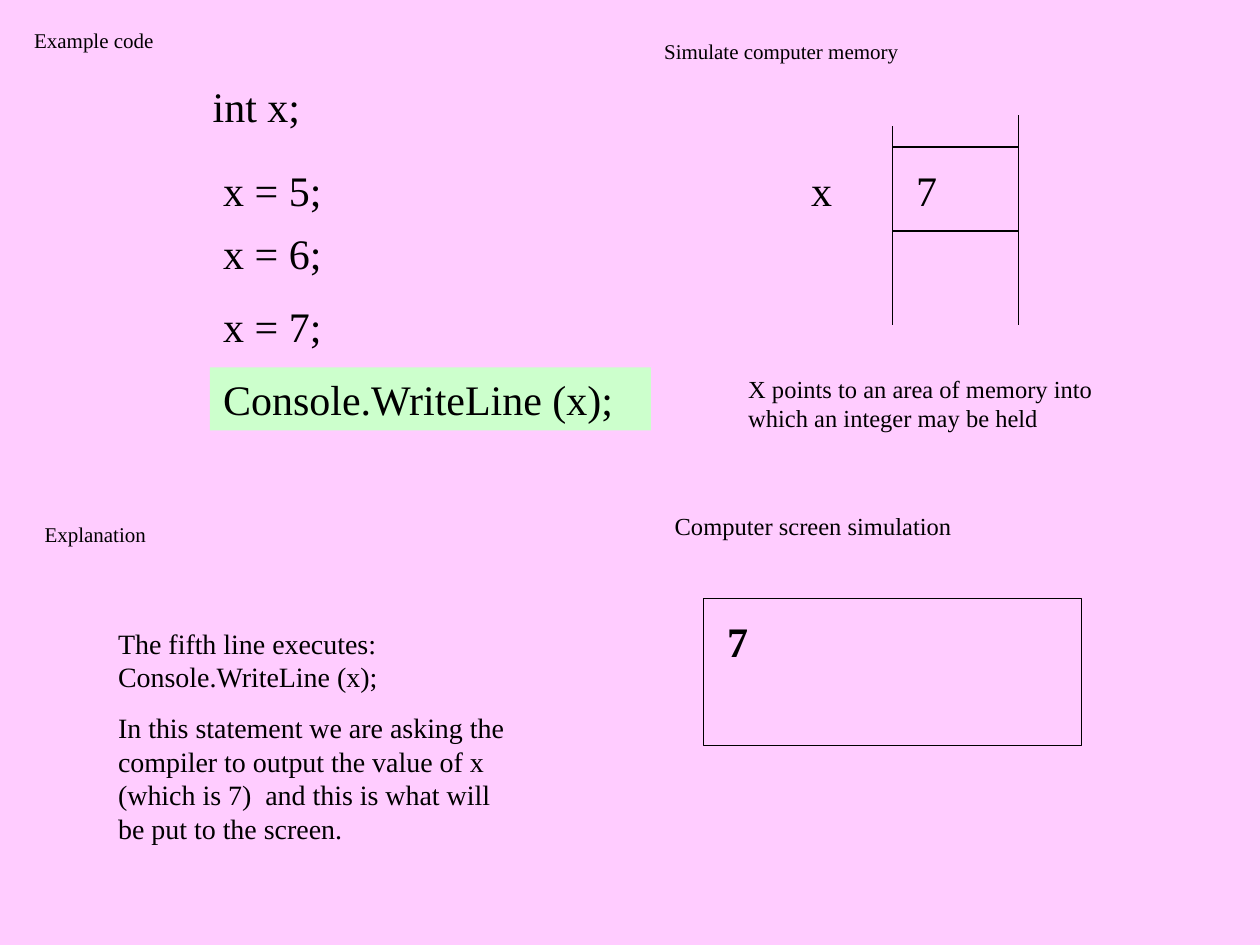
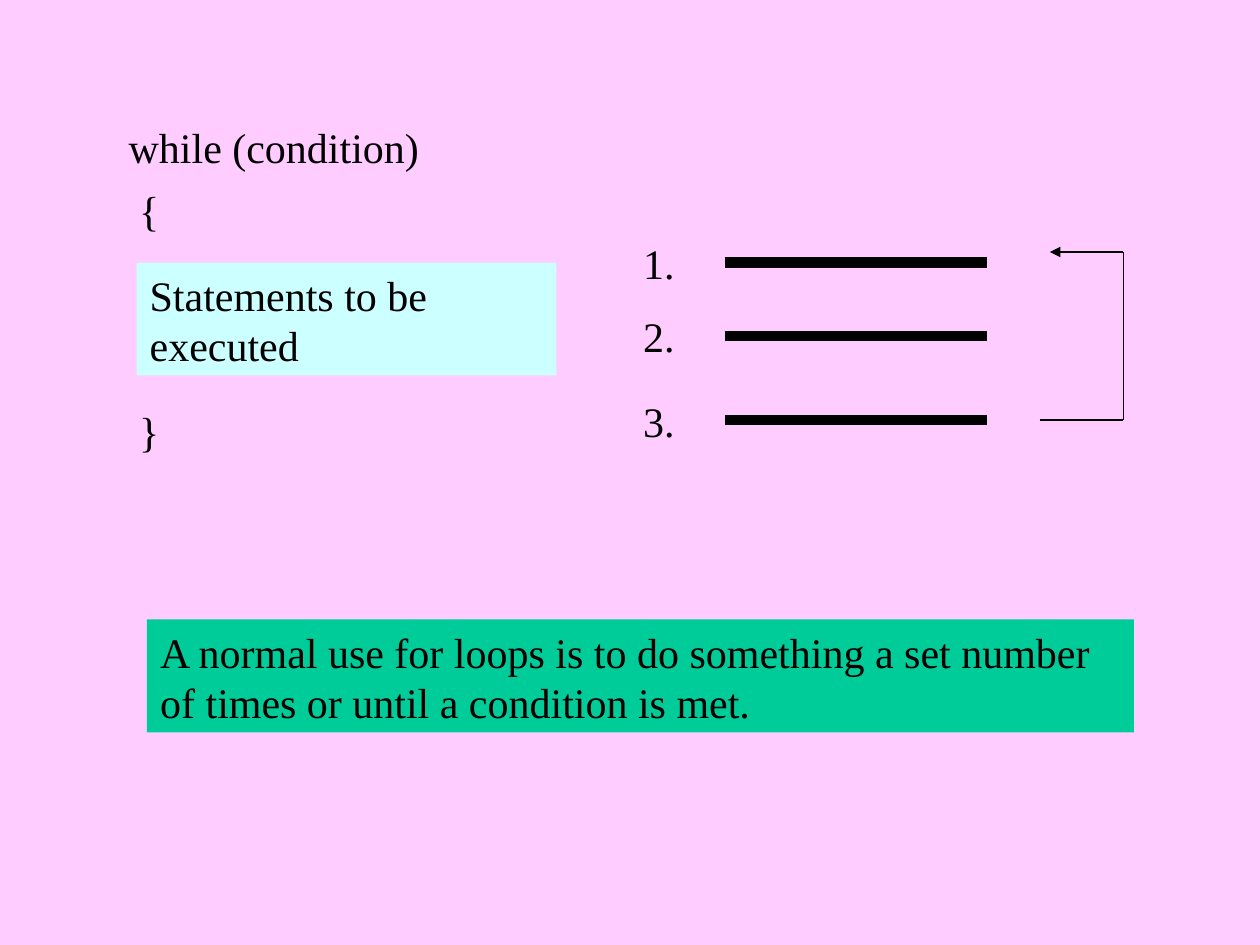
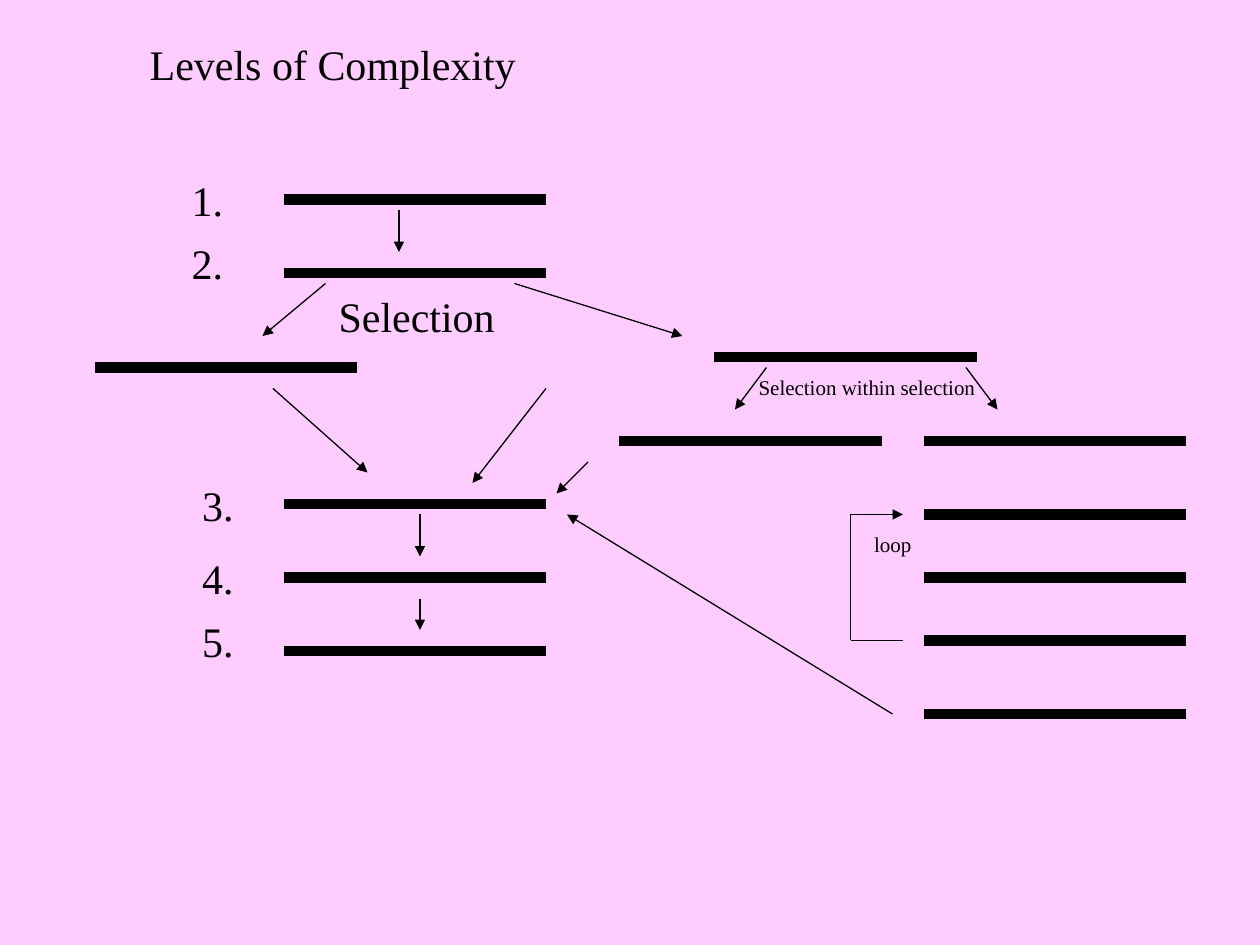
from itertools import pairwise

from lxml.etree import SubElement
from pptx import Presentation
from pptx.dml.color import RGBColor
from pptx.enum.shapes import MSO_CONNECTOR as CONNECTOR, MSO_SHAPE as SHAPE
from pptx.enum.text import MSO_ANCHOR as ANCHOR, MSO_AUTO_SIZE as AUTO_SIZE, PP_ALIGN as ALIGN
from pptx.oxml.ns import qn
from pptx.util import Pt

PX = 9525
PINK = RGBColor(0xFF, 0xCC, 0xFF)
BLACK = RGBColor(0x00, 0x00, 0x00)
PALE_GREEN = RGBColor(0xCC, 0xFF, 0xCC)
PALE_CYAN = RGBColor(0xCC, 0xFF, 0xFF)
TEAL = RGBColor(0x00, 0xCC, 0x99)

FRAME_FORMAT = {
    "word_wrap": True,
    "auto_size": AUTO_SIZE.NONE,
    "vertical_anchor": ANCHOR.TOP,
    "margin_left": 10 * PX,
    "margin_right": 10 * PX,
    "margin_top": 5 * PX,
    "margin_bottom": 5 * PX,
}
BAR_LENGTH = 200
BAR_WEIGHT = 6
NUMBER_RISE = 24


def write_text(slide, text, left, top, width, height=48, size=24, fill=None, bold=False, shape=None):
    shape = shape or slide.shapes.add_textbox(0, 0, 0, 0)
    place = {"left": left, "top": top, "width": width, "height": height}
    for name, value in place.items():
        setattr(shape, name, value * PX)
    if fill:
        shape.fill.solid()
        shape.fill.fore_color.rgb = fill
    frame = shape.text_frame
    for name, value in FRAME_FORMAT.items():
        setattr(frame, name, value)
    frame.text = text
    font_format = {"name": "Times New Roman", "size": Pt(size), "bold": bold}
    for index, paragraph in enumerate(frame.paragraphs):
        paragraph.alignment = ALIGN.LEFT
        paragraph.space_before = Pt(10 if index else 0)
        for name, value in font_format.items():
            setattr(paragraph.font, name, value)
        paragraph.font.color.rgb = BLACK


def draw_line(slide, start, end, weight=0.75, arrow=False):
    ends = [value * PX for value in (*start, *end)]
    connector = slide.shapes.add_connector(CONNECTOR.STRAIGHT, *ends)
    connector.line.color.rgb = BLACK
    connector.line.width = Pt(weight)
    if arrow:
        SubElement(connector.line._get_or_add_ln(), qn("a:tailEnd"), type="triangle")
    SubElement(connector._element.spPr, qn("a:effectLst"))


presentation = Presentation()
presentation.slide_width = 960 * PX
presentation.slide_height = 720 * PX
background = presentation.slide_master.background.fill
background.solid()
background.fore_color.rgb = PINK
title_layout = presentation.slide_layouts[5]
blank_layout = presentation.slide_layouts[6]

memory_slide = presentation.slides.add_slide(blank_layout)
for text, left, top, width in [
    ("int x;", 152, 56, 264),
    ("x = 5;", 160, 120, 168),
    ("x = 6;", 160, 168, 168),
    ("x = 7;", 160, 224, 168),
    ("x", 608, 120, 48),
    ("7", 688, 120, 72),
]:
    write_text(memory_slide, text, left, top, width)
write_text(memory_slide, "Console.WriteLine (x);", 160, 280, 336, fill=PALE_GREEN)

for text, left, top, width, height, size in [
    ("Example code", 16, 16, 256, 29, 12),
    ("Simulate computer memory", 496, 24, 208, 29, 12),
    ("Explanation", 24, 392, 200, 29, 12),
    ("X points to an area of memory into which an integer may be held", 560, 280, 304, 55, 14),
    ("Computer screen simulation", 504, 384, 400, 33, 14),
    (
        "The fifth line executes: Console.WriteLine (x);\n"
        "In this statement we are asking the compiler to output the value of x "
        "(which is 7)  and this is what will be put to the screen.",
        80, 472, 328, 177, 16,
    ),
]:
    write_text(memory_slide, text, left, top, width, height, size)

for x, top in [(680, 96), (776, 88)]:
    draw_line(memory_slide, (x, top), (x, 248))
for y in (112, 176):
    draw_line(memory_slide, (680, y), (776, y))

screen = memory_slide.shapes.add_shape(SHAPE.RECTANGLE, 536 * PX, 456 * PX, 288 * PX, 112 * PX)
screen.shadow.inherit = False
screen.fill.background()
screen.line.color.rgb = BLACK
screen.line.width = Pt(0.75)
write_text(memory_slide, "7", 544, 464, 56, bold=True)

loop_slide = presentation.slides.add_slide(blank_layout)
for text, left, top, width in [
    ("while (condition)", 88, 88, 256),
    ("{", 96, 136, 40),
    ("}", 96, 304, 48),
]:
    write_text(loop_slide, text, left, top, width)
write_text(loop_slide, "Statements to be executed", 104, 200, 320, 86, fill=PALE_CYAN)
write_text(
    loop_slide,
    "A normal use for loops is to do something a set number of times or until a condition is met.",
    112, 472, 752, 86, fill=TEAL,
)

complexity_slide = presentation.slides.add_slide(title_layout)
write_text(complexity_slide, "Levels of Complexity", 104, 24, 376, shape=complexity_slide.shapes.title)
write_text(complexity_slide, "Selection", 248, 216, 208)
write_text(complexity_slide, "Selection within selection", 568, 280, 232, 29, 12)
write_text(complexity_slide, "loop", 656, 400, 72, 29, 12)

for slide, bar_left, steps in [
    (loop_slide, 552, [(480, 200), (480, 256), (480, 320)]),
    (complexity_slide, 216, [(136, 152), (136, 200), (144, 384), (144, 440), (144, 488)]),
]:
    for number, (left, y) in enumerate(steps, 1):
        write_text(slide, f"{number}.", left, y - NUMBER_RISE, 64)

for slide, left, rows in [
    (loop_slide, 552, [200, 256, 320]),
    (complexity_slide, 216, [152, 208, 384, 440, 496]),
    (complexity_slide, 72, [280]),
    (complexity_slide, 544, [272]),
    (complexity_slide, 472, [336]),
    (complexity_slide, 704, [336, 392, 440, 488, 544]),
]:
    for y in rows:
        draw_line(slide, (left, y), (left + BAR_LENGTH, y), BAR_WEIGHT)

for slide, corners in [
    (loop_slide, [(792, 320), (856, 320), (856, 192), (800, 192)]),
    (complexity_slide, [(688, 488), (648, 488), (648, 392), (688, 392)]),
]:
    for start, end in pairwise(corners):
        draw_line(slide, start, end, arrow=end == corners[-1])

for start, end in [
    ((304, 160), (304, 192)),
    ((248, 216), (200, 256)),
    ((392, 216), (520, 256)),
    ((416, 296), (360, 368)),
    ((208, 296), (280, 360)),
    ((320, 392), (320, 424)),
    ((320, 456), (320, 480)),
    ((584, 280), (560, 312)),
    ((736, 280), (760, 312)),
    ((448, 352), (424, 376)),
    ((680, 544), (432, 392)),
]:
    draw_line(complexity_slide, start, end, arrow=True)

presentation.save("out.pptx")
